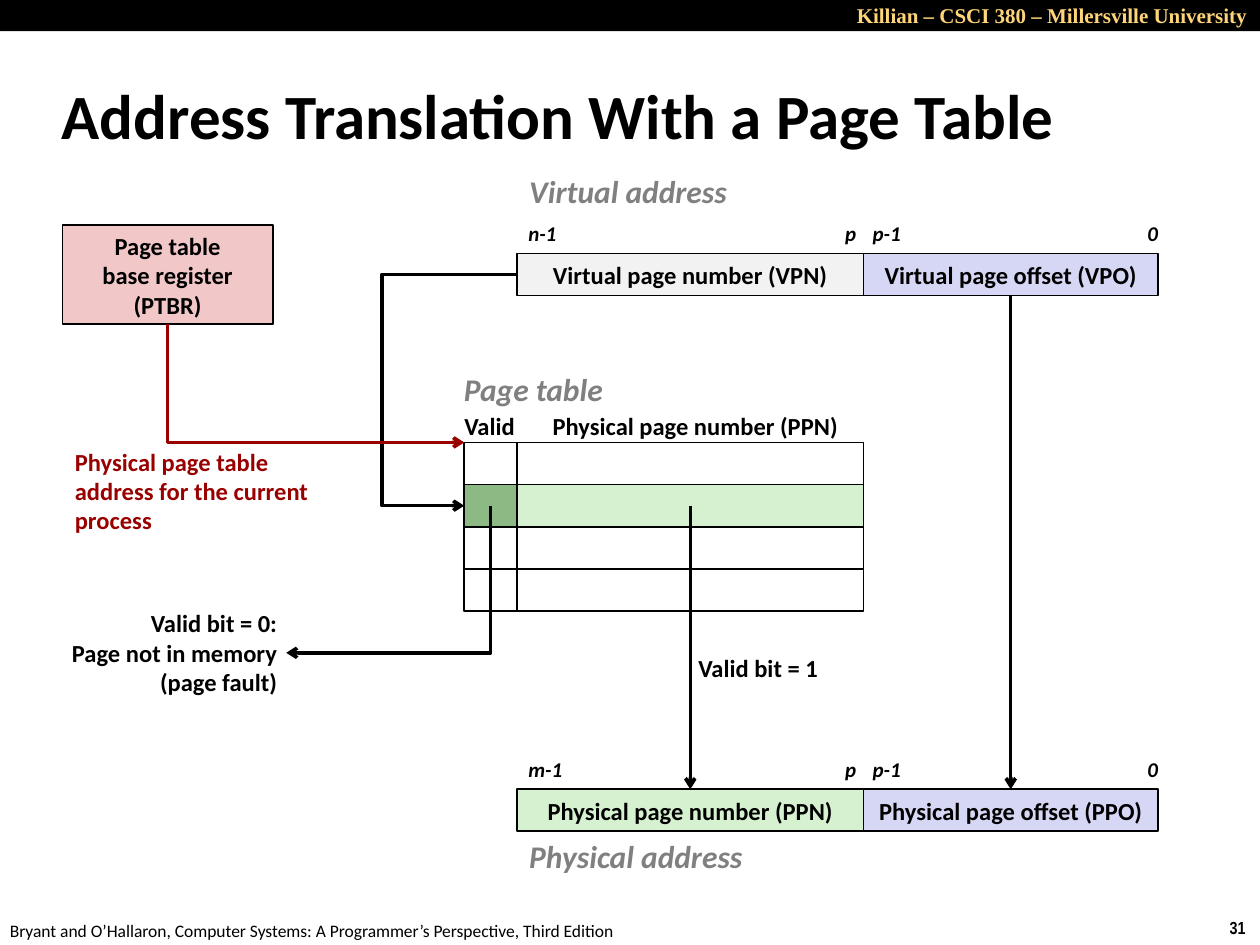
from dataclasses import dataclass
from typing import NamedTuple

from lxml.etree import SubElement
from pptx import Presentation
from pptx.dml.color import RGBColor
from pptx.enum.shapes import MSO_CONNECTOR, MSO_SHAPE
from pptx.enum.text import MSO_ANCHOR, MSO_AUTO_SIZE, PP_ALIGN
from pptx.oxml.ns import qn
from pptx.util import Cm, Pt


class Box(NamedTuple):
    left: float
    top: float
    width: float
    height: float

    def inner(self, dx, dy, width, height):
        return Box(self.left + dx, self.top + dy, width, height)

    def lengths(self):
        return [Cm(value) for value in self]


class Style(NamedTuple):
    size: float
    color: str
    bold: bool = True
    italic: bool = False
    font: str = "Calibri"


@dataclass(frozen=True)
class Theme:
    ink: str = "000000"
    crimson: str = "990000"
    vpn_fill: str = "F2F2F2"
    offset_fill: str = "D6D6F5"
    ppn_fill: str = "D5F1CF"
    valid_fill: str = "8DBA84"
    register_fill: str = "F1C7C7"
    outline: float = 1
    wire: float = 2
    title: Style = Style(36, "000000")
    caption: Style = Style(18, "808080", italic=True)
    label: Style = Style(14, "000000")
    pointer: Style = Style(14, "990000")
    bit: Style = Style(12, "000000", italic=True)
    course: Style = Style(12, "FFD579", font="Times New Roman")
    book: Style = Style(10, "000000", bold=False)
    number: Style = Style(10, "000000", font="Arial Narrow")


THEME = Theme()
ROW = 0.85
VALID_WIDTH = 1.06
PAGE_WIDTH = 6.99
OFFSET_WIDTH = 5.93


def write(frame, paragraphs, style, align=PP_ALIGN.LEFT):
    for index, content in enumerate(paragraphs):
        paragraph = frame.add_paragraph() if index else frame.paragraphs[0]
        paragraph.alignment = align
        for line_index, line in enumerate(content.split("\n")):
            if line_index:
                paragraph.add_line_break()
            run = paragraph.add_run()
            run.text = line
            font = run.font
            font.name, font.size = style.font, Pt(style.size)
            font.bold, font.italic = style.bold, style.italic
            font.color.rgb = RGBColor.from_string(style.color)


def add_label(slide, box, paragraphs, style, align=PP_ALIGN.LEFT):
    frame = slide.shapes.add_textbox(*box.lengths()).text_frame
    frame.word_wrap = False
    write(frame, paragraphs, style, align)


def add_cell(slide, box, fill=None, paragraphs=()):
    cell = slide.shapes.add_shape(MSO_SHAPE.RECTANGLE, *box.lengths())
    cell.shadow.inherit = False
    if fill:
        cell.fill.solid()
        cell.fill.fore_color.rgb = RGBColor.from_string(fill)
    else:
        cell.fill.background()
    cell.line.color.rgb = RGBColor.from_string(THEME.ink)
    cell.line.width = Pt(THEME.outline)
    cell.text_frame.vertical_anchor = MSO_ANCHOR.MIDDLE
    write(cell.text_frame, paragraphs, THEME.label, PP_ALIGN.CENTER)
    return cell


def add_arrow(slide, kind, start, end, color=THEME.ink):
    arrow = slide.shapes.add_connector(kind, *(Cm(value) for value in (*start, *end)))
    arrow.line.color.rgb = RGBColor.from_string(color)
    arrow.line.width = Pt(THEME.wire)
    properties = arrow._element.spPr
    SubElement(properties.find(qn("a:ln")), qn("a:tailEnd"), type="arrow")
    SubElement(properties, qn("a:effectLst"))
    return arrow


def add_corner_arrow(slide, start, end, color=THEME.ink):
    (x1, y1), (x2, y2) = start, end
    center_x, center_y = (x1 + x2) / 2, (y1 + y2) / 2
    half_width, half_height = abs(y2 - y1) / 2, abs(x2 - x1) / 2
    arrow = add_arrow(slide, MSO_CONNECTOR.ELBOW,
                      (center_x - half_width, center_y - half_height),
                      (center_x + half_width, center_y + half_height), color)
    properties = arrow._element.spPr
    properties.find(qn("a:prstGeom")).set("prst", "bentConnector2")
    transform = properties.find(qn("a:xfrm"))
    transform.set("rot", str((90 if x2 < x1 else 270) * 60000))
    if x2 > x1:
        transform.set("flipH", "1")


def add_side_arrow(slide, start, end, reach):
    arrow = add_arrow(slide, MSO_CONNECTOR.ELBOW, start, end)
    guides = arrow._element.spPr.find(qn("a:prstGeom")).find(qn("a:avLst"))
    ratio = (start[0] - reach) / (start[0] - end[0])
    SubElement(guides, qn("a:gd"), name="adj1", fmla=f"val {round(ratio * 100000)}")


def add_page_frame(slide, box):
    band = slide.shapes.add_shape(MSO_SHAPE.RECTANGLE, *box.inner(0, 0, box.width, 0.63).lengths())
    band.shadow.inherit = False
    band.fill.solid()
    band.fill.fore_color.rgb = RGBColor.from_string(THEME.ink)
    band.line.fill.background()
    add_label(slide, box.inner(16.99, -0.08, 8.41, 0.76),
              ["Killian – CSCI 380 – Millersville University"], THEME.course, PP_ALIGN.RIGHT)
    add_label(slide, box.inner(-0.05, 18.42, 12.9, 0.69),
              ["Bryant and O’Hallaron, Computer Systems: A Programmer’s Perspective, Third Edition"],
              THEME.book)
    add_label(slide, box.inner(24.54, 18.36, 0.86, 0.69), ["31"], THEME.number)


def add_title(slide, box):
    title = slide.shapes.title
    title.left, title.top, title.width, title.height = box.lengths()
    frame = title.text_frame
    frame.auto_size = MSO_AUTO_SIZE.NONE
    frame.vertical_anchor = MSO_ANCHOR.MIDDLE
    write(frame, ["Address Translation With a Page Table"], THEME.title)


def add_address(slide, box, caption, caption_dy, top_bit, page, page_fill, offset):
    page_cell = add_cell(slide, box.inner(0, 0, PAGE_WIDTH, box.height), page_fill, [page])
    offset_cell = add_cell(slide, box.inner(PAGE_WIDTH, 0, OFFSET_WIDTH, box.height),
                           THEME.offset_fill, [offset])
    add_label(slide, box.inner(0, caption_dy, 5.2, 1.02), [caption], THEME.caption)
    for bit, dx, width in ((top_bit, -0.02, 1.3), ("p", 6.37, 0.84),
                           ("p-1", 6.92, 1.19), ("0", 12.46, 0.84)):
        add_label(slide, box.inner(dx, -0.78, width, 0.76), [bit], THEME.bit)
    return page_cell, offset_cell


def add_page_table(slide, box):
    fills = [(None, None), (THEME.valid_fill, THEME.ppn_fill), (None, None), (None, None)]
    for row, (valid_fill, page_fill) in enumerate(fills):
        add_cell(slide, box.inner(VALID_WIDTH, row * ROW, PAGE_WIDTH, ROW), page_fill)
        add_cell(slide, box.inner(0, row * ROW, VALID_WIDTH, ROW), valid_fill)
    add_label(slide, box.inner(-0.26, -1.58, 3.61, 1.02), ["Page table"], THEME.caption)
    add_label(slide, box.inner(-0.25, -0.76, 1.55, 0.86), ["Valid"], THEME.label)
    add_label(slide, box.inner(1.53, -0.75, 6.3, 0.86), ["Physical page number (PPN)"], THEME.label)


def add_register(slide, box):
    add_cell(slide, box, THEME.register_fill, ["Page table\nbase register", "(PTBR)"])
    add_label(slide, box.inner(0, 4.34, 5.28, 2.06),
              ["Physical page table", "address for the current", "process"], THEME.pointer)


def add_outcomes(slide, box):
    add_label(slide, box.inner(0, 0, 4.72, 2.06),
              ["Valid bit = 0:", "Page not in memory", "(page fault)"], THEME.label, PP_ALIGN.RIGHT)
    add_label(slide, box.inner(12.65, 0.89, 2.97, 0.86), ["Valid bit = 1"], THEME.label, PP_ALIGN.RIGHT)


def add_wires(slide, virtual, table, physical, register, virtual_offset, page, offset):
    entry_y = table.top + 1.5 * ROW
    page_x = physical.left + PAGE_WIDTH / 2
    offset_x = physical.left + PAGE_WIDTH + OFFSET_WIDTH / 2
    add_side_arrow(slide, (virtual.left, virtual.top + ROW / 2), (table.left, entry_y), 7.7)
    offset_wire = add_arrow(slide, MSO_CONNECTOR.STRAIGHT,
                            (offset_x, virtual.top + ROW), (offset_x, physical.top))
    offset_wire.begin_connect(virtual_offset, 2)
    offset_wire.end_connect(offset, 0)
    page_wire = add_arrow(slide, MSO_CONNECTOR.STRAIGHT, (page_x, entry_y), (page_x, physical.top))
    page_wire.end_connect(page, 0)
    add_corner_arrow(slide, (table.left + VALID_WIDTH / 2, entry_y), (5.77, 13.16))
    add_corner_arrow(slide, (register.left + register.width / 2, register.top + register.height),
                     (table.left, table.top), THEME.crimson)


def main():
    presentation = Presentation()
    presentation.slide_width, presentation.slide_height = Cm(25.4), Cm(19.05)
    slide = presentation.slides.add_slide(presentation.slide_layouts[5])
    virtual = Box(10.42, 5.11, PAGE_WIDTH + OFFSET_WIDTH, ROW)
    physical = virtual._replace(top=15.91)
    table = Box(virtual.left - VALID_WIDTH, 8.92, VALID_WIDTH + PAGE_WIDTH, 4 * ROW)
    register = Box(1.26, 4.54, 4.24, 2)
    add_page_frame(slide, Box(0, 0, 25.4, 19.05))
    add_title(slide, Box(0.99, 1.24, 21.08, 2.11))
    _, virtual_offset = add_address(slide, virtual, "Virtual address", -1.77, "n-1",
                                    "Virtual page number (VPN)", THEME.vpn_fill,
                                    "Virtual page offset (VPO)")
    page, offset = add_address(slide, physical, "Physical address", 0.84, "m-1",
                               "Physical page number (PPN)", THEME.ppn_fill,
                               "Physical page offset (PPO)")
    add_page_table(slide, table)
    add_register(slide, register)
    add_outcomes(slide, Box(1.12, 12.14, 15.62, 2.06))
    add_wires(slide, virtual, table, physical, register, virtual_offset, page, offset)
    presentation.save("out.pptx")


if __name__ == "__main__":
    main()
